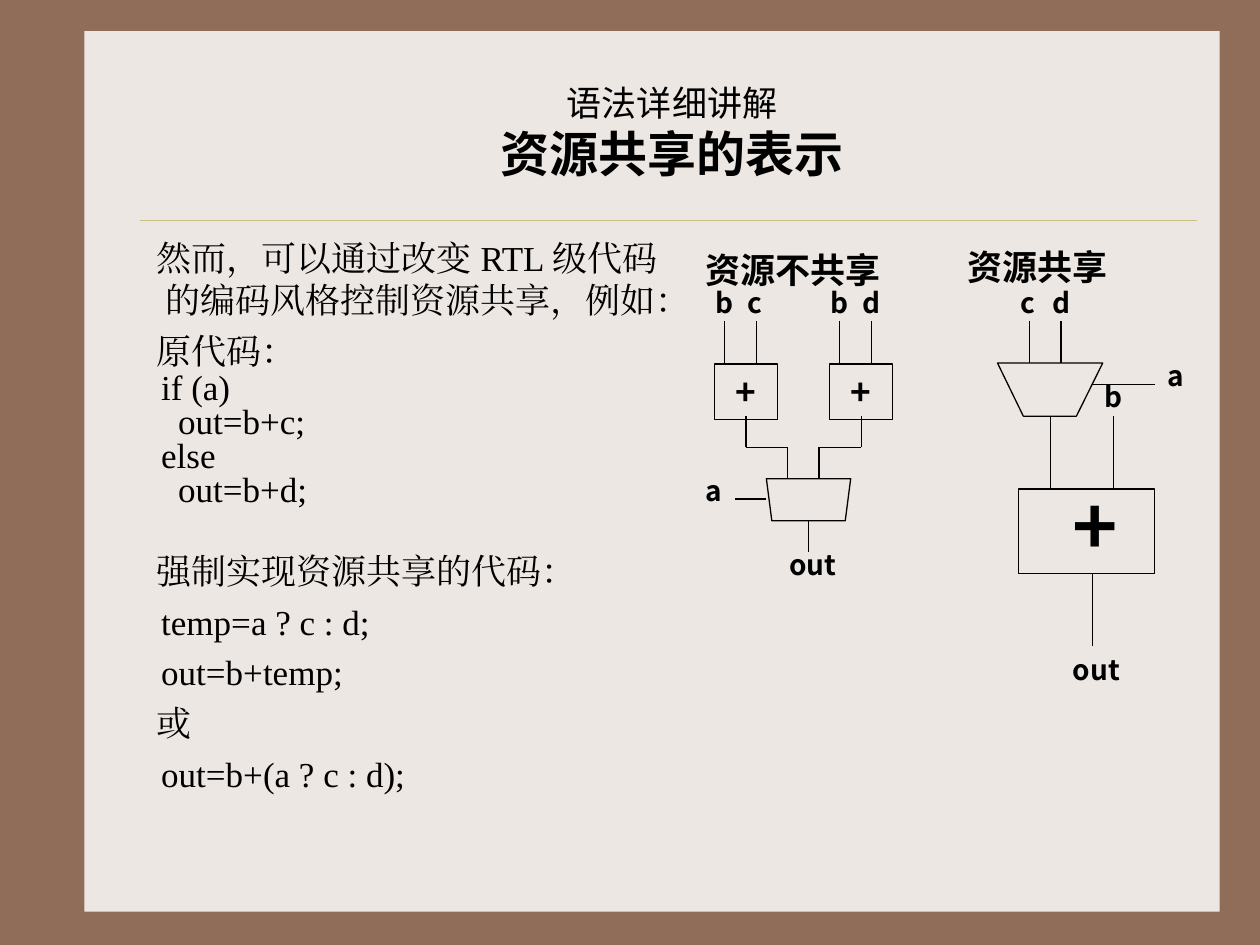
from itertools import pairwise
from lxml import etree
from pptx import Presentation
from pptx.dml.color import RGBColor
from pptx.enum import shapes, text
from pptx.oxml import ns
from pptx.util import Cm, Pt

COLORS = {"frame": "906D58", "page": "EDE7E3", "rule": "CBBD83", "ink": "000000"}
SANS, SERIF = "Noto Sans CJK SC", "Times New Roman"

TITLE = [("语法详细讲解", 20, False), ("资源共享的表示", 28, True)]

PROSE = {"indent": 0.79, "spacing": 1.0}
STATEMENT = {"indent": 0.89, "spacing": 1.0}
CODE = {"indent": 0.89, "spacing": 0.6}
NESTED = {"indent": 1.23, "spacing": 0.6}
BODY = [
    ("然而，可以通过改变 RTL 级代码的编码风格控制资源共享，例如：", PROSE, 0),
    ("原代码：", PROSE, 5),
    ("if (a)", CODE, 5),
    ("out=b+c;", NESTED, 5),
    ("else", CODE, 5),
    ("out=b+d;", NESTED, 5),
    ("强制实现资源共享的代码：", PROSE, 24),
    ("temp=a ? c : d;", STATEMENT, 5),
    ("out=b+temp;", STATEMENT, 5),
    ("或", PROSE, 5),
    ("out=b+(a ? c : d);", STATEMENT, 5),
]

HEADINGS = [("资源不共享", 13.97, 4.88, 4.24), ("资源共享", 19.26, 4.83, 3.61)]
PORT_TOP, PORT_BOTTOM, LABEL_TOP, PORT_GAP = 6.48, 7.32, 5.64, 0.64

ADDERS = [(14.4, "bc", 15.88), (16.72, "bd", 16.51)]
SEPARATE_MUX = [(15.45, 9.65), (17.15, 9.65), (17.04, 10.5), (15.56, 10.5)]
SEPARATE_WIRES = [[(16.3, 10.5), (16.3, 11.12)], [(15.45, 10.06), (14.82, 10.06)]]
SEPARATE_LABELS = [("out", 15.66, 10.92, 1.7), ("a", 13.97, 9.42, 0.85)]

SHARED_MUX = [(20.11, 7.32), (22.23, 7.32), (21.7, 8.39), (20.63, 8.39)]
SHARED_WIRES = [
    [(21.17, 8.39), (21.17, 9.86)],
    [(22.44, 8.39), (22.44, 9.86)],
    [(22.02, 7.75), (23.29, 7.75)],
    [(22.02, 11.56), (22.02, 13.03)],
]
SHARED_LABELS = [
    ("out", 21.38, 13.03, 1.48),
    ("a", 23.28, 7.11, 0.85),
    ("b", 22.02, 7.52, 0.85),
]


def color(name):
    return RGBColor.from_string(COLORS[name])


def add_run(paragraph, content, size, bold, font=SANS, asian=SANS):
    run = paragraph.add_run()
    run.text = content
    run.font.size, run.font.bold, run.font.name = Pt(size), bold, font
    run.font.color.rgb = color("ink")
    properties = run.font._element
    etree.SubElement(properties, ns.qn("a:ea")).set("typeface", asian)


def add_text_box(parent, left, top, width, height, wrap=True):
    box = parent.add_textbox(Cm(left), Cm(top), Cm(width), Cm(height))
    box.text_frame.word_wrap = wrap
    return box.text_frame


def add_label(parent, content, left, top, width, height=0.94, size=16):
    frame = add_text_box(parent, left, top, width, height, wrap=False)
    add_run(frame.paragraphs[0], content, size, True)


def outline(shape):
    shape.shadow.inherit = False
    shape.fill.background()
    shape.line.color.rgb = color("ink")
    shape.line.width = Pt(0.75)


def add_box(parent, left, top, width, height):
    shape = parent.add_shape(
        shapes.MSO_SHAPE.RECTANGLE, Cm(left), Cm(top), Cm(width), Cm(height))
    outline(shape)
    return shape


def add_wire(parent, points, ink="ink", width=0.75):
    for start, end in pairwise(points):
        line = parent.add_connector(
            shapes.MSO_CONNECTOR.STRAIGHT, *map(Cm, start), *map(Cm, end))
        line.line.color.rgb = color(ink)
        line.line.width = Pt(width)
        etree.SubElement(line._element.spPr, ns.qn("a:effectLst"))


def add_mux(parent, corners):
    points = [(Cm(x), Cm(y)) for x, y in corners]
    builder = parent.build_freeform(*points[0])
    builder.add_line_segments(points[1:], close=True)
    outline(builder.convert_to_shape())


def add_ports(parent, names, left):
    for index, name in enumerate(names):
        x = left + index * PORT_GAP
        add_wire(parent, [(x, PORT_TOP), (x, PORT_BOTTOM)])
        add_label(parent, name, x - 0.43, LABEL_TOP, 0.85)


def add_parts(parent, mux, wires, labels):
    add_mux(parent, mux)
    for points in wires:
        add_wire(parent, points)
    for label in labels:
        add_label(parent, *label)


def add_separate_diagram(parent):
    add_parts(parent, SEPARATE_MUX, SEPARATE_WIRES, SEPARATE_LABELS)
    for left, names, mux_input in ADDERS:
        frame = add_box(parent, left, 7.34, 1.27, 1.12).text_frame
        frame.vertical_anchor = text.MSO_ANCHOR.MIDDLE
        paragraph = frame.paragraphs[0]
        paragraph.alignment = text.PP_ALIGN.CENTER
        add_run(paragraph, "+", 20, True)
        add_ports(parent, names, left + 0.21)
        output = left + 0.64
        add_wire(parent, [(output, 8.39), (output, 9.02), (mux_input, 9.02), (mux_input, 9.65)])


def add_shared_diagram(parent):
    add_parts(parent, SHARED_MUX, SHARED_WIRES, SHARED_LABELS)
    add_ports(parent, "cd", 20.75)
    add_box(parent, 20.53, 9.86, 2.75, 1.7)
    add_label(parent, "+", 21.38, 9.53, 1.48, 2.13, 44)


def add_title(parent):
    frame = add_text_box(parent, 2.97, 1.07, 21.16, 3.18)
    frame.vertical_anchor = text.MSO_ANCHOR.MIDDLE
    paragraph = frame.paragraphs[0]
    paragraph.alignment = text.PP_ALIGN.CENTER
    for index, (content, size, bold) in enumerate(TITLE):
        if index:
            paragraph.add_line_break()
        add_run(paragraph, content, size, bold)


def add_body(parent):
    frame = add_text_box(parent, 2.11, 4.65, 11.63, 12.5)
    for index, (content, style, before) in enumerate(BODY):
        paragraph = frame.add_paragraph() if index else frame.paragraphs[0]
        paragraph.space_before = Pt(before)
        paragraph.line_spacing = style["spacing"]
        properties = paragraph._p.get_or_add_pPr()
        properties.set("marL", str(Cm(0.97)))
        properties.set("indent", str(Cm(style["indent"] - 0.97)))
        add_run(paragraph, content, 20, False, SERIF, SERIF)


def main():
    presentation = Presentation()
    presentation.slide_width, presentation.slide_height = Cm(25.4), Cm(19.05)
    slide = presentation.slides.add_slide(presentation.slide_layouts[6])
    slide.background.fill.solid()
    slide.background.fill.fore_color.rgb = color("frame")
    page = add_box(slide.shapes, 1.7, 0.63, 22.89, 17.75)
    page.fill.solid()
    page.fill.fore_color.rgb = color("page")
    page.line.fill.background()
    add_wire(slide.shapes, [(2.82, 4.44), (24.13, 4.44)], "rule", 0.25)
    add_body(slide.shapes)
    add_title(slide.shapes)
    add_separate_diagram(slide.shapes.add_group_shape().shapes)
    add_shared_diagram(slide.shapes.add_group_shape().shapes)
    for content, left, top, width in HEADINGS:
        add_label(slide.shapes, content, left, top, width, 1.12, 20)
    presentation.save("out.pptx")


if __name__ == "__main__":
    main()
